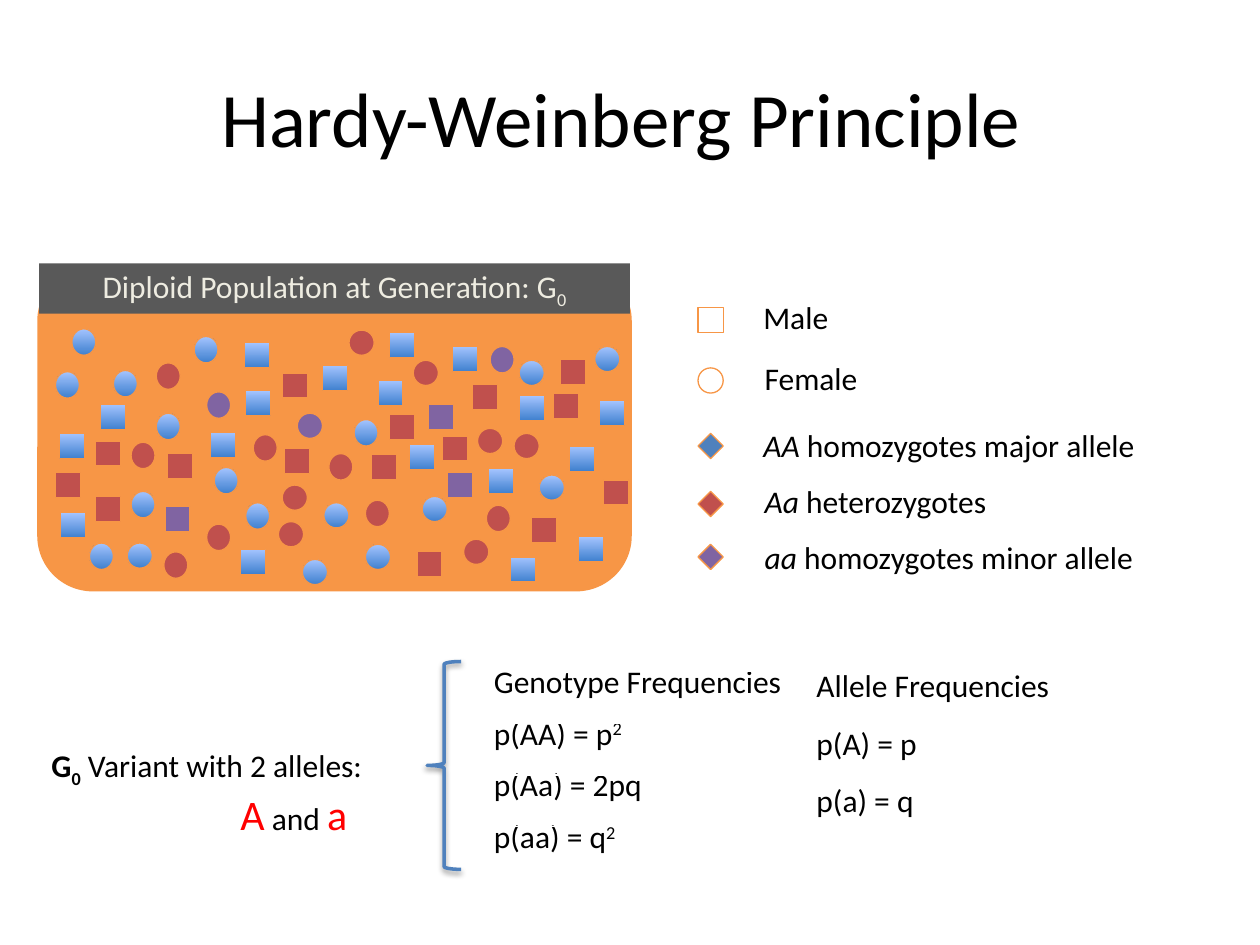
"""Build the Hardy-Weinberg principle slide."""
from lxml import etree
from pptx import Presentation, util as u
from pptx.dml.color import RGBColor
from pptx.enum import shapes, text
from pptx.oxml import ns

BLACK, RED, ORANGE, BLUE = "000000", "FF0000", "F79646", "4F81BD"
SHAPE = shapes.MSO_SHAPE
FILLS = {"AA": ("3F80CE", "A4C4FF"), "Aa": "C0504D", "aa": "8064A2"}
DOT = 0.2

TITLE = [("Hardy-Weinberg Principle ", {})]
BANNER = [("Diploid Population at Generation: G", {}), ("0", {"base": -25})]
VARIANT = [("G", {"bold": True}), ("0", {"bold": True, "base": -25}),
           (" Variant with 2 alleles:", {})]
ALLELES = [("A", {"size": 24, "color": RED}), (" and ", {}),
           ("a", {"size": 24, "color": RED})]
SQUARED = ("2", {"base": 30})
GENOTYPES = [[("Genotype Frequencies", {})], [("p(AA) = p", {}), SQUARED],
             [("p(Aa) = 2pq", {})], [("p(aa) = q", {}), SQUARED]]
ALLELE_FREQS = [[("Allele Frequencies", {})], [("p(A) = p", {})], [("p(a) = q", {})]]

# symbol, fill, symbol top, label left, label top, label runs
LEGEND = [
    (SHAPE.RECTANGLE, None, 2.44, 5.96, 2.32, [("Male", {})]),
    (SHAPE.OVAL, None, 2.92, 5.97, 2.8, [("Female", {})]),
    (SHAPE.DIAMOND, BLUE, 3.44, 5.96, 3.33,
     [("AA ", {"italic": True}), ("homozygotes major allele", {})]),
    (SHAPE.DIAMOND, FILLS["Aa"], 3.9, 5.97, 3.78,
     [("Aa ", {"italic": True}), ("heterozygotes", {})]),
    (SHAPE.DIAMOND, FILLS["aa"], 4.32, 5.97, 4.22,
     [("aa ", {"italic": True}), ("homozygotes minor allele", {})]),
]

POPULATION = [
    (SHAPE.OVAL, 0.19, 0.21, {
        "AA": [(0.57, 2.61), (1.54, 2.67), (0.9, 2.94), (1.7, 3.71), (1.24, 3.28),
               (0.71, 4.31), (1.04, 3.9), (1.95, 3.99), (2.81, 3.33), (0.44, 2.95)],
        "Aa": [(1.64, 4.16), (1.24, 2.88), (1.3, 4.38), (2.61, 3.6), (3.86, 4.01),
               (1.04, 3.51), (2.9, 3.97), (2.01, 3.45)],
        "aa": [(3.89, 2.75), (1.64, 3.11)]}),
    (SHAPE.OVAL, DOT, DOT, {
        "AA": [(2.4, 4.44), (1.01, 4.31), (2.57, 3.99), (2.9, 4.32), (4.28, 3.77),
               (4.72, 2.75), (3.35, 3.94), (4.12, 2.86)],
        "Aa": [(4.08, 3.44), (2.77, 2.62), (2.24, 3.85), (3.79, 3.4), (2.21, 4.14),
               (3.28, 2.86), (3.68, 4.28)],
        "aa": [(2.36, 3.28)]}),
    (SHAPE.RECTANGLE, DOT, DOT, {
        "AA": [(3.09, 2.64), (3, 3.02), (3.88, 3.72), (4.76, 3.18), (3.25, 3.53),
               (1.67, 3.43), (4.05, 4.42), (0.8, 3.21), (4.59, 4.26), (2.56, 2.9),
               (1.95, 3.1), (0.47, 3.44), (0.48, 4.07), (1.94, 2.72), (4.12, 3.14),
               (3.59, 2.75), (4.52, 3.54), (1.91, 4.36)],
        "Aa": [(1.33, 3.6), (0.76, 3.5), (4.22, 4.11), (3.09, 3.29), (0.76, 3.94),
               (0.44, 3.75), (2.26, 3.56), (3.31, 4.38), (3.51, 3.46), (2.24, 2.96),
               (4.45, 2.85), (3.75, 3.05), (4.39, 3.12), (4.79, 3.81), (2.95, 3.61)],
        "aa": [(1.31, 4.02), (3.55, 3.75), (3.4, 3.21)]}),
]


def rgb(color):
    """Turn a hex string into a colour."""
    return RGBColor.from_string(color)


def inches(*lengths):
    """Turn numbers into lengths."""
    return [u.Inches(length) for length in lengths]


def write(paragraph, runs, size=18, color=BLACK):
    """Fill a paragraph with styled runs."""
    font = paragraph.font
    font.name, font.size, font.color.rgb = "Calibri", u.Pt(size), rgb(color)
    for words, style in runs:
        run = paragraph.add_run()
        run.text = words
        run.font.name = "Calibri"
        run.font.size = u.Pt(style.get("size", size))
        run.font.color.rgb = rgb(style.get("color", color))
        run.font.bold = style.get("bold")
        run.font.italic = style.get("italic")
        if "base" in style:
            run.font._element.set("baseline", str(style["base"] * 1000))


def add_label(parent, at, lines, **style):
    """Add a wrapping text box with one paragraph per line."""
    frame = parent.add_textbox(*inches(*at)).text_frame
    frame.word_wrap = True
    for i, runs in enumerate(lines):
        write(frame.add_paragraph() if i else frame.paragraphs[0], runs, **style)
    return frame


def add_figure(parent, kind, at, fill=None, line=None, width=0.75):
    """Add a preset shape with a plain, gradient or empty fill."""
    figure = parent.add_shape(kind, *inches(*at))
    figure.shadow.inherit = False
    if fill is None:
        figure.fill.background()
    elif isinstance(fill, tuple):
        figure.fill.gradient()
        figure.fill.gradient_angle = 90
        for stop, color in zip(figure.fill.gradient_stops, fill):
            stop.color.rgb = rgb(color)
    else:
        figure.fill.solid()
        figure.fill.fore_color.rgb = rgb(fill)
    if line:
        figure.line.color.rgb = rgb(line)
        figure.line.width = u.Pt(width)
    else:
        figure.line.fill.background()
    return figure


def add_frequencies(parent, left, top, width, heights, lines, spacing, after=None):
    """Add a one-column table without fills."""
    table = parent.add_table(len(lines), 1, *inches(left, top, width, sum(heights))).table
    table.first_row = table.horz_banding = False
    for i, (height, runs) in enumerate(zip(heights, lines)):
        table.rows[i].height = u.Inches(height)
        cell = table.cell(i, 0)
        cell.fill.background()
        paragraph = cell.text_frame.paragraphs[0]
        paragraph.line_spacing = u.Pt(spacing)
        if after:
            paragraph.space_after = u.Pt(after[i])
        write(paragraph, runs)


def add_shadow(figure, color, alpha, blur, distance, angle):
    """Give a shape a soft outer shadow."""
    effects = figure._element.spPr.find(ns.qn("a:effectLst"))
    shadow = etree.SubElement(effects, ns.qn("a:outerShdw"), blurRad=str(u.Pt(blur)),
                              dist=str(u.Pt(distance)), dir=str(angle * 60000),
                              rotWithShape="0")
    tint = etree.SubElement(shadow, ns.qn("a:srgbClr"), val=color)
    etree.SubElement(tint, ns.qn("a:alpha"), val=str(alpha * 1000))


def main():
    """Lay out the slide and save it."""
    deck = Presentation()
    deck.slide_width, deck.slide_height = inches(10, 7.5)
    canvas = deck.slides.add_slide(deck.slide_layouts[6]).shapes

    title = add_label(canvas, (0.5, 0.3, 9, 1.25), [TITLE], size=44)
    title.vertical_anchor = text.MSO_ANCHOR.MIDDLE
    title.paragraphs[0].alignment = text.PP_ALIGN.CENTER

    add_frequencies(canvas, 3.82, 5.33, 3.56, (0.41, 0.41, 0.41, 0.25), GENOTYPES, 13.8)
    add_frequencies(canvas, 6.38, 5.2, 2.17, (0.4, 0.4, 0.29), ALLELE_FREQS, 25.6,
                    (42, 42, 18))
    brace = add_figure(canvas, SHAPE.LEFT_BRACE, (3.39, 5.25, 0.27, 1.65), None, BLUE, 2)
    add_shadow(brace, BLACK, 38, 3.1, 1.6, 90)
    variant = add_label(canvas, (0.31, 5.87, 3.08, 0.81), [VARIANT, ALLELES])
    variant.paragraphs[1]._p.get_or_add_pPr().set("marL", str(u.Inches(1.5)))

    add_figure(canvas, SHAPE.ROUNDED_RECTANGLE, (0.31, 2.12, 4.69, 2.56), ORANGE, ORANGE, 2)
    for kind, width, height, genotypes in POPULATION:
        for genotype, places in genotypes.items():
            for left, top in places:
                add_figure(canvas, kind, (left, top, width, height), FILLS[genotype], ORANGE)
    banner = add_figure(canvas, SHAPE.RECTANGLE, (0.31, 2.09, 4.69, 0.4), "595959").text_frame
    banner.word_wrap = True
    banner.paragraphs[0].alignment = text.PP_ALIGN.CENTER
    write(banner.paragraphs[0], BANNER, color="EEECE1")

    for kind, fill, top, label_left, label_top, runs in LEGEND:
        entry = canvas.add_group_shape().shapes
        add_figure(entry, kind, (5.54, top, DOT, DOT), fill, ORANGE)
        add_label(entry, (label_left, label_top, 3.31, 0.4), [runs])

    deck.save("out.pptx")


if __name__ == "__main__":
    main()
